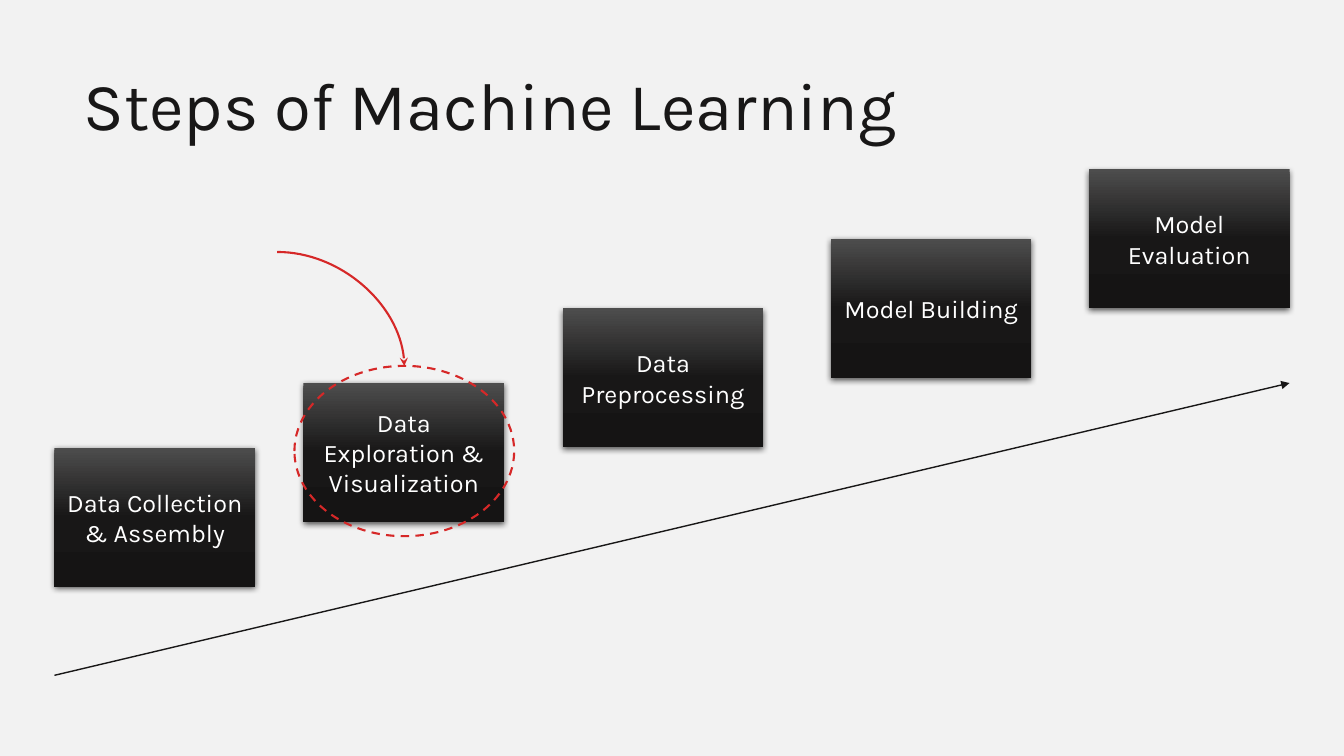
import pptx
import pptx.dml.color
import pptx.enum.dml
import pptx.enum.shapes
import pptx.enum.text
import pptx.oxml
import pptx.oxml.ns
import pptx.util

COLORS = {
    "background": "F2F2F2",
    "ink": "181717",
    "accent": "D62828",
    "card_text": "FFFFFF",
    "card_top": "4D4D4D",
    "card_bottom": "151414",
    "shadow": "000000",
}
FONT = "Karla"
CARD_WIDTH, CARD_HEIGHT = 14.93, 18.4
CARD_GRADIENT = [(0, "card_top"), (50, "ink"), (100, "card_bottom")]

# Left column, top row and lines of each step
STEPS = [
    (4.05, 59.2, "Data Collection\n& Assembly"),
    (22.58, 50.67, "Data Exploration & Visualization"),
    (41.86, 40.8, "Data Preprocessing"),
    (61.82, 31.6, "Model Building"),
    (81.02, 22.4, "Model Evaluation"),
]


def rgb(name):
    return pptx.dml.color.RGBColor.from_string(COLORS[name])


def add_xml(parent, xml):
    """Append a drawing element, given without its namespace declaration."""
    head, rest = xml.split(" ", 1)
    namespace = pptx.oxml.ns.nsdecls("a")
    parent.append(pptx.oxml.parse_xml(f"{head} {namespace} {rest}"))


class Board:
    """A slide measured in a grid of 100 columns by 100 rows."""

    def __init__(self, deck):
        self.deck = deck
        self.page = deck.slides.add_slide(deck.slide_layouts[6])
        self.page.background.fill.solid()
        self.page.background.fill.fore_color.rgb = rgb("background")

    def place(self, column, row):
        return (int(self.deck.slide_width * column / 100),
                int(self.deck.slide_height * row / 100))

    def set_text(self, box, text, size, color, align):
        frame = box.text_frame
        frame.word_wrap = True
        frame.text = text
        for para in frame.paragraphs:
            para.alignment = align
            for span in para.runs:
                span.font.name = FONT
                span.font.size = pptx.util.Pt(size)
                span.font.color.rgb = rgb(color)

    def title(self, column, row, width, height, text):
        box = self.page.shapes.add_textbox(
            *self.place(column, row), *self.place(width, height))
        self.set_text(box, text, 48, "ink", pptx.enum.text.PP_ALIGN.LEFT)
        box.text_frame.auto_size = pptx.enum.text.MSO_AUTO_SIZE.SHAPE_TO_FIT_TEXT

    def shape(self, kind, column, row, width, height):
        shape = self.page.shapes.add_shape(
            kind, *self.place(column, row), *self.place(width, height))
        shape.shadow.inherit = False
        return shape

    def card(self, column, row, text):
        card = self.shape(pptx.enum.shapes.MSO_SHAPE.RECTANGLE,
                          column, row, CARD_WIDTH, CARD_HEIGHT)
        card.line.fill.background()
        card.fill.gradient()
        card.fill.gradient_angle = 270
        properties = card._element.spPr
        stops = properties.find(".//" + pptx.oxml.ns.qn("a:gsLst"))
        stops.clear()
        for share, color in CARD_GRADIENT:
            add_xml(stops, f'<a:gs pos="{share * 1000}">'
                           f'<a:srgbClr val="{COLORS[color]}"/></a:gs>')
        effects = properties.find(pptx.oxml.ns.qn("a:effectLst"))
        add_xml(effects,
                f'<a:outerShdw blurRad="{pptx.util.Pt(4.5)}" '
                f'dist="{pptx.util.Pt(1.5)}" dir="5400000" algn="ctr" '
                f'rotWithShape="0"><a:srgbClr val="{COLORS["shadow"]}">'
                '<a:alpha val="63000"/></a:srgbClr></a:outerShdw>')
        card.text_frame.vertical_anchor = pptx.enum.text.MSO_ANCHOR.MIDDLE
        self.set_text(card, text, 18, "card_text",
                      pptx.enum.text.PP_ALIGN.CENTER)

    def ring(self, column, row, width, height):
        ring = self.shape(pptx.enum.shapes.MSO_SHAPE.OVAL,
                          column, row, width, height)
        ring.fill.background()
        ring.line.color.rgb = rgb("accent")
        ring.line.width = pptx.util.Pt(1.5)
        ring.line.dash_style = pptx.enum.dml.MSO_LINE.DASH

    def arrow(self, kind, start, end, color, weight, head):
        arrow = self.page.shapes.add_connector(
            kind, *self.place(*start), *self.place(*end))
        arrow.line.color.rgb = rgb(color)
        arrow.line.width = pptx.util.Pt(weight)
        properties = arrow._element.spPr
        outline = properties.find(pptx.oxml.ns.qn("a:ln"))
        add_xml(outline, f'<a:tailEnd type="{head}"/>')
        add_xml(properties, "<a:effectLst />")
        if kind == pptx.enum.shapes.MSO_CONNECTOR.CURVE:
            # A single quarter bend instead of an S curve
            geometry = properties.find(pptx.oxml.ns.qn("a:prstGeom"))
            geometry.set("prst", "curvedConnector2")


def main():
    deck = pptx.Presentation()
    deck.slide_width = pptx.util.Inches(13.33)
    deck.slide_height = pptx.util.Inches(7.5)
    board = Board(deck)
    connector = pptx.enum.shapes.MSO_CONNECTOR

    # Rising steps
    for column, row, text in STEPS:
        board.card(column, row, text)
    board.arrow(connector.STRAIGHT, (4.05, 89.33), (95.95, 50.67),
                "ink", 1, "triangle")

    # Title
    board.title(5.48, 7.73, 67.37, 12.13, "Steps of Machine Learning")

    # Highlight on the exploration step
    board.ring(21.91, 48.4, 16.35, 22.53)
    board.arrow(connector.CURVE, (20.63, 33.33), (30.08, 48.4),
                "accent", 1.5, "stealth")

    deck.save("out.pptx")


if __name__ == "__main__":
    main()
